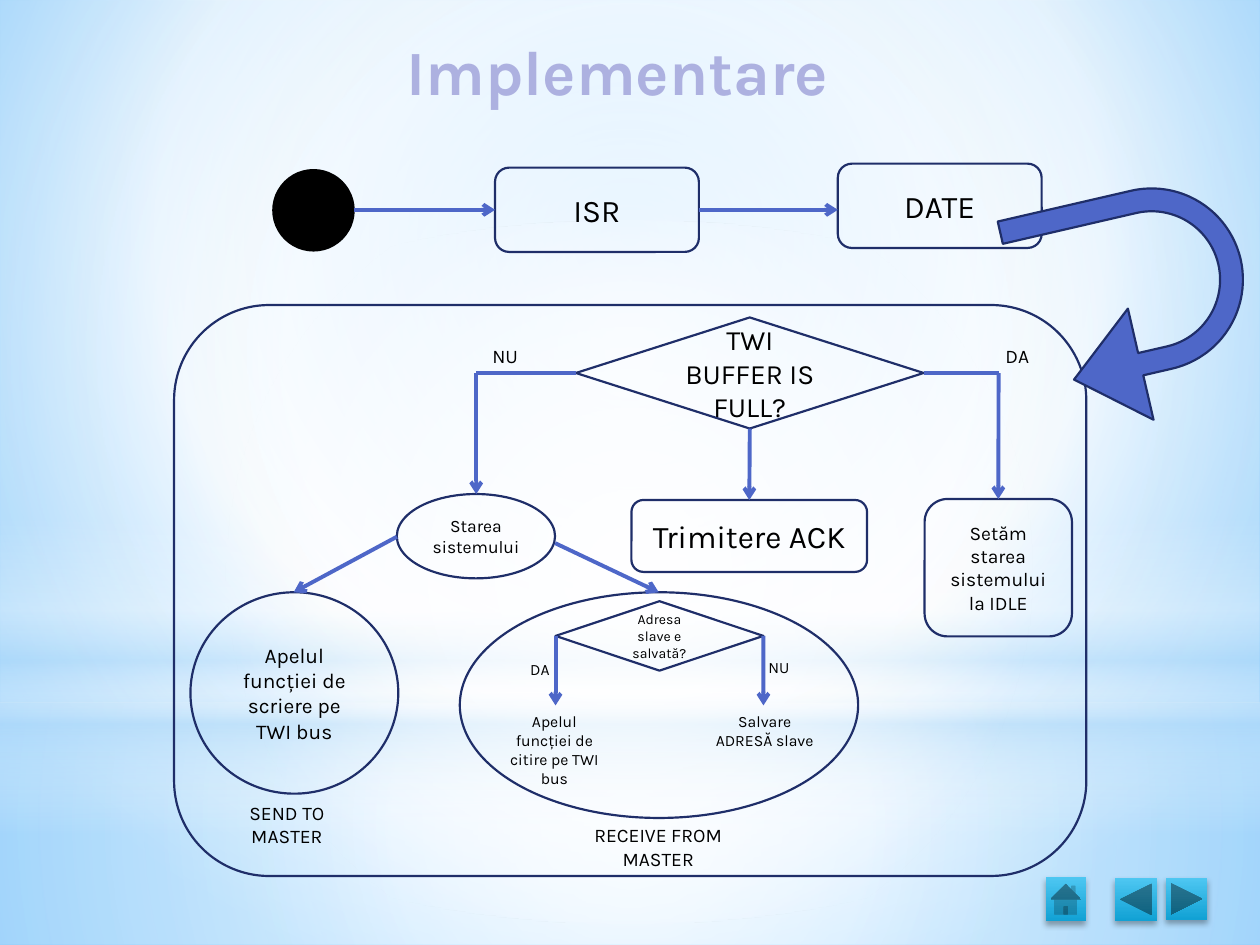
from lxml.etree import SubElement
from pptx import Presentation
from pptx.dml.color import RGBColor
from pptx.enum.shapes import MSO_CONNECTOR, MSO_SHAPE
from pptx.enum.text import MSO_ANCHOR, PP_ALIGN
from pptx.oxml.ns import qn
from pptx.util import Cm, Pt

FONT = "Karla"
NAVY = RGBColor(0x1F, 0x2E, 0x69)
BLUE = RGBColor(0x4E, 0x67, 0xC8)
LILAC = RGBColor(0xAD, 0xB1, 0xE0)
BLACK = RGBColor(0, 0, 0)
WHITE = RGBColor(0xFF, 0xFF, 0xFF)
PALE = RGBColor(0xB4, 0xDC, 0xFA)
SKY = RGBColor(0x9E, 0xD5, 0xFF)
AZURE = RGBColor(0x5B, 0xB9, 0xFF)
CYAN = RGBColor(0x4E, 0xC7, 0xF2)
DEEP_CYAN = RGBColor(0x11, 0xA1, 0xD4)

RECT, ROUND = MSO_SHAPE.RECTANGLE, MSO_SHAPE.ROUNDED_RECTANGLE
OVAL, DIAMOND = MSO_SHAPE.OVAL, MSO_SHAPE.DIAMOND
CENTER, LEFT = PP_ALIGN.CENTER, PP_ALIGN.LEFT
CENTRE_FOCUS = (50, 50, 50, 50)
BG_FOCUS = (20, 10, 20, 60)

# Gradient stops: position %, colour, opacity %
BG_STOPS = [(0, SKY, 100), (60, WHITE, 100), (100, AZURE, 100)]
BUTTON_STOPS = [(0, CYAN, 100), (100, DEEP_CYAN, 100)]

# Backdrop: shape, box in cm, stops, focus (None = vertical gradient)
BACKDROP = [
    (RECT, (0, 14.17, 25.4, 4.88),
     [(0, WHITE, 91), (37, WHITE, 76), (100, PALE, 79)], CENTRE_FOCUS),
    (RECT, (0, 0, 25.4, 14.17),
     [(0, WHITE, 89), (48, WHITE, 62), (100, PALE, 79)], CENTRE_FOCUS),
    (RECT, (0, 10.46, 25.4, 6.35),
     [(0, WHITE, 0), (29, WHITE, 30), (45, PALE, 40), (55, WHITE, 26),
      (65, PALE, 60), (100, WHITE, 0)], None),
    (OVAL, (0, 4.45, 25.4, 14.17),
     [(0, WHITE, 100), (56, WHITE, 0)], CENTRE_FOCUS),
]

# Flowchart nodes: name -> shape, box in cm, text, size
NODES = {
    "panel": (ROUND, (3.51, 6.15, 18.39, 11.51), "", 0),
    "start": (OVAL, (5.51, 3.43, 1.62, 1.62), "", 0),
    "isr": (ROUND, (9.98, 3.38, 4.11, 1.7), "ISR", 18),
    "date": (ROUND, (16.89, 3.3, 4.11, 1.7), "DATE", 18),
    "full": (DIAMOND, (11.61, 6.4, 7.01, 2.24), "TWI BUFFER IS FULL?", 16),
    "loop": (MSO_SHAPE.U_TURN_ARROW, (20.57, 3.89, 4.6, 4.6), "", 0),
    "ack": (ROUND, (12.73, 10.08, 4.75, 1.45), "Trimitere ACK", 18),
    "idle": (ROUND, (18.64, 10.06, 2.97, 2.77), "Setăm starea sistemului la IDLE", 11),
    "state": (OVAL, (8, 9.96, 3.19, 1.7), "Starea sistemului", 10),
    "receive": (OVAL, (9.27, 11.94, 8.03, 4.55), "", 0),
    "send": (OVAL, (3.84, 11.94, 4.19, 4.06), "Apelul funcției de scriere pe TWI bus", 12),
    "saved": (DIAMOND, (11.2, 12.12, 4.19, 1.4), "Adresa slave e salvată?", 8),
}

# Links: each end is (x, y) in cm or (node name, side); last item = arrowhead
NU_CORNER, DA_CORNER = (9.6, 7.52), (20.13, 7.52)
LINKS = [
    ((7.13, 4.23), ("isr", 1), True),
    (("isr", 3), (16.89, 4.23), True),
    (("full", 1), NU_CORNER, False),
    (NU_CORNER, (9.6, 9.96), True),
    (("full", 3), DA_CORNER, False),
    (DA_CORNER, ("idle", 0), True),
    (("full", 2), ("ack", 0), True),
    ((8, 10.82), (5.92, 11.94), True),
    ((11.19, 10.95), (13.28, 11.94), True),
    (("saved", 1), (11.2, 14.22), True),
    (("saved", 3), (15.39, 14.22), True),
]

# Labels: text, box in cm, size, alignment
TITLE = ("Implementare", (1.09, 0.53, 22.71, 1.8), 36, CENTER)
LABELS = [
    ("NU", (8.79, 6.81, 2.79, 0.74), 11, CENTER),
    ("DA", (19.61, 6.81, 1.8, 0.74), 11, CENTER),
    ("SEND TO MASTER", (4.39, 16.03, 2.79, 1.19), 11, CENTER),
    ("RECEIVE FROM MASTER", (11.68, 16.48, 3.18, 1.19), 11, CENTER),
    ("DA", (10.44, 13.18, 1.07, 0.64), 9, LEFT),
    ("NU", (15.24, 13.13, 1.07, 0.64), 9, LEFT),
    ("Apelul funcției de citire pe TWI bus", (9.93, 14.22, 2.49, 1.8), 9, CENTER),
    ("Salvare ADRESĂ slave", (14.17, 14.22, 2.49, 1.02), 9, CENTER),
]

BUTTONS = [
    (MSO_SHAPE.ACTION_BUTTON_HOME, (21.08, 17.68, 0.81, 0.89)),
    (MSO_SHAPE.ACTION_BUTTON_BACK_OR_PREVIOUS, (22.48, 17.7, 0.84, 0.86)),
    (MSO_SHAPE.ACTION_BUTTON_FORWARD_OR_NEXT, (23.5, 17.7, 0.84, 0.84)),
]


def cm(values):
    return [Cm(v) for v in values]


def sub(parent, tag, **attrs):
    return SubElement(parent, qn(tag), {k: str(v) for k, v in attrs.items()})


def add_color(parent, color, opacity):
    clr = sub(parent, "a:srgbClr", val=color)
    if opacity < 100:
        sub(clr, "a:alpha", val=opacity * 1000)


def set_gradient(fill, element, stops, focus=None):
    """Swap a solid fill for a gradient: radial with a focus, else vertical."""
    fill.solid()
    solid = element.find(".//" + qn("a:solidFill"))
    grad = sub(solid.getparent(), "a:gradFill", rotWithShape=1)
    solid.getparent().replace(solid, grad)
    stop_list = sub(grad, "a:gsLst")
    for pos, color, opacity in stops:
        add_color(sub(stop_list, "a:gs", pos=pos * 1000), color, opacity)
    if focus:
        circle = sub(grad, "a:path", path="circle")
        sub(circle, "a:fillToRect", **{k: v * 1000 for k, v in zip("ltrb", focus)})
    else:
        sub(grad, "a:lin", ang=5400000, scaled=0)


def add_shape(kind, box):
    s = slide.shapes.add_shape(kind, *cm(box))
    s.shadow.inherit = False
    s.line.fill.background()
    return s


def write(s, text, size, align=CENTER, color=BLACK):
    tf = s.text_frame
    tf.word_wrap = True
    p = tf.paragraphs[0]
    p.text, p.alignment = text, align
    p.font.name, p.font.size, p.font.color.rgb = FONT, Pt(size), color
    return p


def add_node(kind, box, text, size):
    s = add_shape(kind, box)
    s.fill.background()
    s.line.color.rgb, s.line.width = NAVY, Pt(1.25)
    if text:
        write(s, text, size)
        s.text_frame.vertical_anchor = MSO_ANCHOR.MIDDLE
    return s


def add_link(begin, end, arrow):
    points = [(0, 0) if isinstance(e[0], str) else e for e in (begin, end)]
    c = slide.shapes.add_connector(MSO_CONNECTOR.STRAIGHT, *cm(points[0] + points[1]))
    for (target, side), join in ((begin, c.begin_connect), (end, c.end_connect)):
        if isinstance(target, str):
            join(nodes[target], side)
    c.line.color.rgb, c.line.width = BLUE, Pt(2.25)
    if arrow:
        sub(c.line._get_or_add_ln(), "a:tailEnd", type="arrow")
    sub(c._element.spPr, "a:effectLst")


def add_label(text, box, size, align, color=BLACK):
    return write(slide.shapes.add_textbox(*cm(box)), text, size, align, color)


prs = Presentation()
prs.slide_width, prs.slide_height = Cm(25.4), Cm(19.05)
slide = prs.slides.add_slide(prs.slide_layouts[6])
set_gradient(slide.background.fill, slide.element, BG_STOPS, BG_FOCUS)

for kind, box, stops, focus in BACKDROP:
    s = add_shape(kind, box)
    set_gradient(s.fill, s.element.spPr, stops, focus)

add_label(*TITLE, LILAC).font.bold = True

nodes = {name: add_node(*node) for name, node in NODES.items()}
for name, color in (("start", BLACK), ("loop", BLUE)):
    nodes[name].fill.solid()
    nodes[name].fill.fore_color.rgb = color
nodes["start"].line.color.rgb = BLACK
nodes["loop"].rotation = 77
for i, value in enumerate((0.1, 0.25, 0.3, 0.46, 0.83)):
    nodes["loop"].adjustments[i] = value

for link in LINKS:
    add_link(*link)
for label in LABELS:
    add_label(*label)

for kind, box in BUTTONS:
    s = add_shape(kind, box)
    set_gradient(s.fill, s.element.spPr, BUTTON_STOPS)
    effects = s.element.spPr.find(qn("a:effectLst"))
    shadow = sub(effects, "a:outerShdw", blurRad=Pt(3.5), dist=Pt(2.2), dir=5400000)
    add_color(shadow, BLACK, 32)

prs.save("out.pptx")
